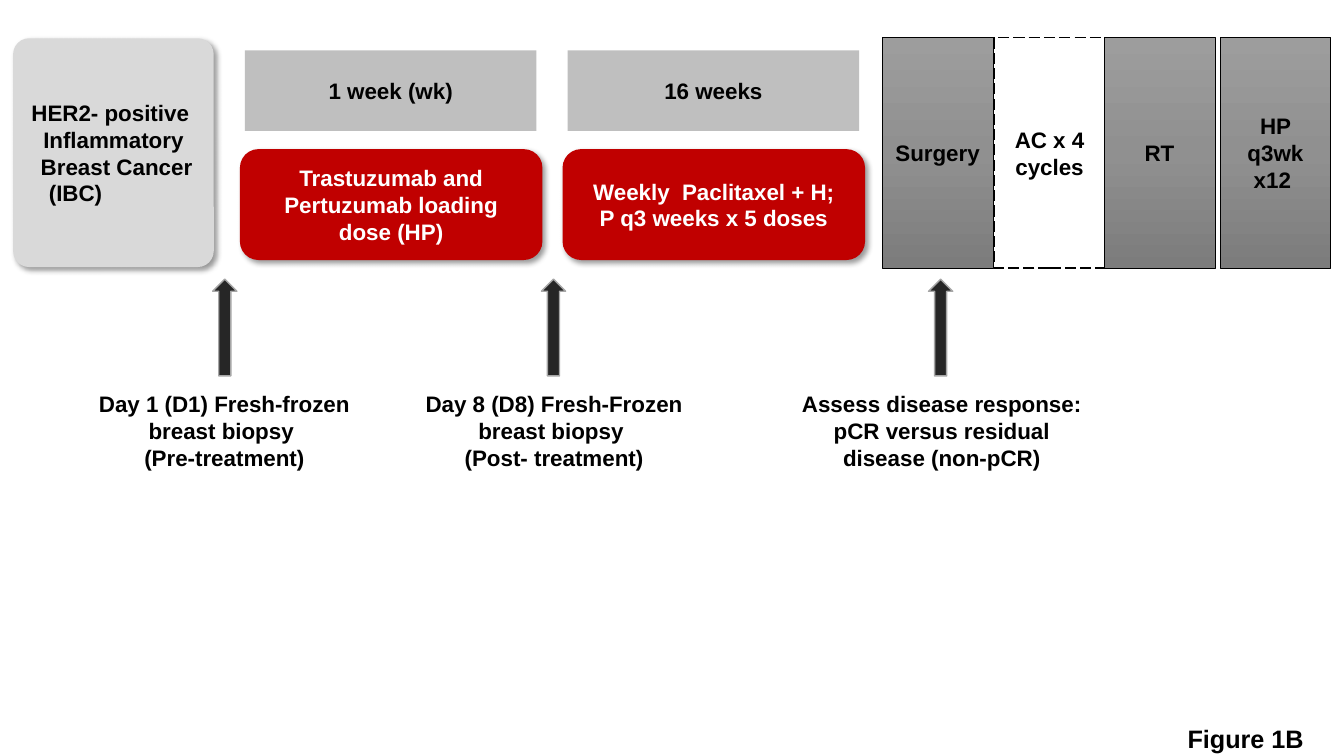
from lxml import etree
from pptx import Presentation
from pptx.dml.color import RGBColor
from pptx.enum.dml import MSO_LINE
from pptx.enum.shapes import MSO_SHAPE
from pptx.enum.text import MSO_ANCHOR, PP_ALIGN
from pptx.oxml.ns import qn
from pptx.util import Inches, Pt

RECTANGLE, ROUNDED, UP_ARROW = MSO_SHAPE.RECTANGLE, MSO_SHAPE.ROUNDED_RECTANGLE, MSO_SHAPE.UP_ARROW
LONG_DASH = MSO_LINE.LONG_DASH
LEFT, CENTER = PP_ALIGN.LEFT, PP_ALIGN.CENTER
TOP, MIDDLE = MSO_ANCHOR.TOP, MSO_ANCHOR.MIDDLE

BLACK, WHITE, RED = "000000", "FFFFFF", "C00000"
PALE_GRAY, BAND_GRAY, ARROW_GRAY, ARROW_EDGE = "D9D9D9", "BFBFBF", "262626", "A6A6A6"
STEEL = [(0, "9D9D9D"), (50, "909090"), (100, "7C7C7C")]


def color(code):
    return RGBColor.from_string(code)


def add_child(parent, tag, **attributes):
    child = etree.SubElement(parent, qn(tag))
    for name, value in attributes.items():
        child.set(name, str(value))
    return child


class TimelinePage:
    """Draws on one slide; all places are (left, top, width, height) in grid cells."""

    font_name = "Arial"
    cell = Inches(0.1)

    def __init__(self, deck):
        self.page = deck.slides.add_slide(deck.slide_layouts[6])

    def place(self, cells):
        return [round(count * self.cell) for count in cells]

    def set_text(self, shape, text, ink=BLACK, size=16, align=CENTER, anchor=MIDDLE, wrap=True):
        frame = shape.text_frame
        frame.word_wrap = wrap
        frame.vertical_anchor = anchor
        frame.text = text
        for para in frame.paragraphs:
            para.alignment = align
            para.font.name = self.font_name
            para.font.size = Pt(size)
            para.font.bold = True
            para.font.color.rgb = color(ink)

    def shape(self, kind, cells, fill=None, line=None, weight=0.5):
        shape = self.page.shapes.add_shape(kind, *self.place(cells))
        shape.shadow.inherit = False
        if fill:
            shape.fill.solid()
            shape.fill.fore_color.rgb = color(fill)
        else:
            shape.fill.background()
        if line:
            shape.line.color.rgb = color(line)
            shape.line.width = Pt(weight)
        else:
            shape.line.fill.background()
        return shape

    def band(self, cells, text):
        self.set_text(self.shape(RECTANGLE, cells, BAND_GRAY), text)

    def card(self, cells, text, fill, ink, corner=0.167):
        """Rounded box with a soft shadow towards the lower right."""
        box = self.shape(ROUNDED, cells, fill)
        box.adjustments[0] = corner
        effects = box._element.spPr.find(qn("a:effectLst"))
        shadow = add_child(effects, "a:outerShdw", blurRad=Pt(4), dist=Pt(3),
                           dir=45 * 60000, algn="tl", rotWithShape=0)
        add_child(add_child(shadow, "a:srgbClr", val=BLACK), "a:alpha", val=40000)
        self.set_text(box, text, ink)
        return box

    def steel_step(self, cells, text):
        box = self.shape(RECTANGLE, cells, line=BLACK)
        box.fill.gradient()
        box.fill.gradient_angle = 270
        stops = box._element.spPr.find(qn("a:gradFill")).find(qn("a:gsLst"))
        for stop in list(stops):
            stops.remove(stop)
        for percent, code in STEEL:
            add_child(add_child(stops, "a:gs", pos=percent * 1000), "a:srgbClr", val=code)
        self.set_text(box, text)

    def dashed_step(self, cells, text):
        box = self.shape(RECTANGLE, cells, line=BLACK, weight=1)
        box.line.dash_style = LONG_DASH
        self.set_text(box, text)

    def arrow(self, left):
        self.shape(UP_ARROW, (left, 27.7, 2.4, 9.6), ARROW_GRAY, ARROW_EDGE, 1)

    def label(self, cells, text, **style):
        box = self.page.shapes.add_textbox(*self.place(cells))
        self.set_text(box, text, anchor=TOP, **style)


def main():
    deck = Presentation()
    deck.slide_width, deck.slide_height = Inches(13.33), Inches(7.5)
    timeline = TimelinePage(deck)

    patients = timeline.card((1.3, 3.8, 19.9, 22.7),
                             "HER2- positive \nInflammatory\n Breast Cancer\n(IBC)",
                             PALE_GRAY, BLACK, 0.08)
    abbreviation = patients.text_frame.paragraphs[-1]
    abbreviation.alignment = LEFT
    abbreviation._p.get_or_add_pPr().set("marL", str(Inches(0.21)))

    phases = [
        ("1 week (wk)", "Trastuzumab and Pertuzumab loading dose (HP)"),
        ("16 weeks", "Weekly  Paclitaxel + H;\nP q3 weeks x 5 doses"),
    ]
    for index, (duration, treatment) in enumerate(phases):
        left = 23.8 + 32 * index
        timeline.band((left + 0.5, 5, 28.9, 8), duration)
        timeline.card((left, 14.8, 30, 11), treatment, RED, WHITE)

    steps = [
        (87.5, "Surgery", timeline.steel_step),
        (98.6, "AC x 4 cycles", timeline.dashed_step),
        (109.5, "RT", timeline.steel_step),
        (121, "HP q3wk\nx12 ", timeline.steel_step),
    ]
    for left, text, draw_step in steps:
        draw_step((left, 3.7, 11, 22.9), text)

    checkpoints = [
        (21.1, 7.8, 28.9, "Day 1 (D1) Fresh-frozen breast biopsy \n(Pre-treatment)"),
        (53.7, 38.7, 32.5, "Day 8 (D8) Fresh-Frozen breast biopsy \n(Post- treatment)"),
        (92.1, 77.8, 31.2, "Assess disease response: pCR versus residual disease (non-pCR)"),
    ]
    for arrow_left, left, width, text in checkpoints:
        timeline.arrow(arrow_left)
        timeline.label((left, 38.2, width, 13.1), text)

    timeline.label((116.8, 71.3, 13.7, 3.7), "Figure 1B", size=18, align=LEFT, wrap=False)
    deck.save("out.pptx")


if __name__ == "__main__":
    main()
